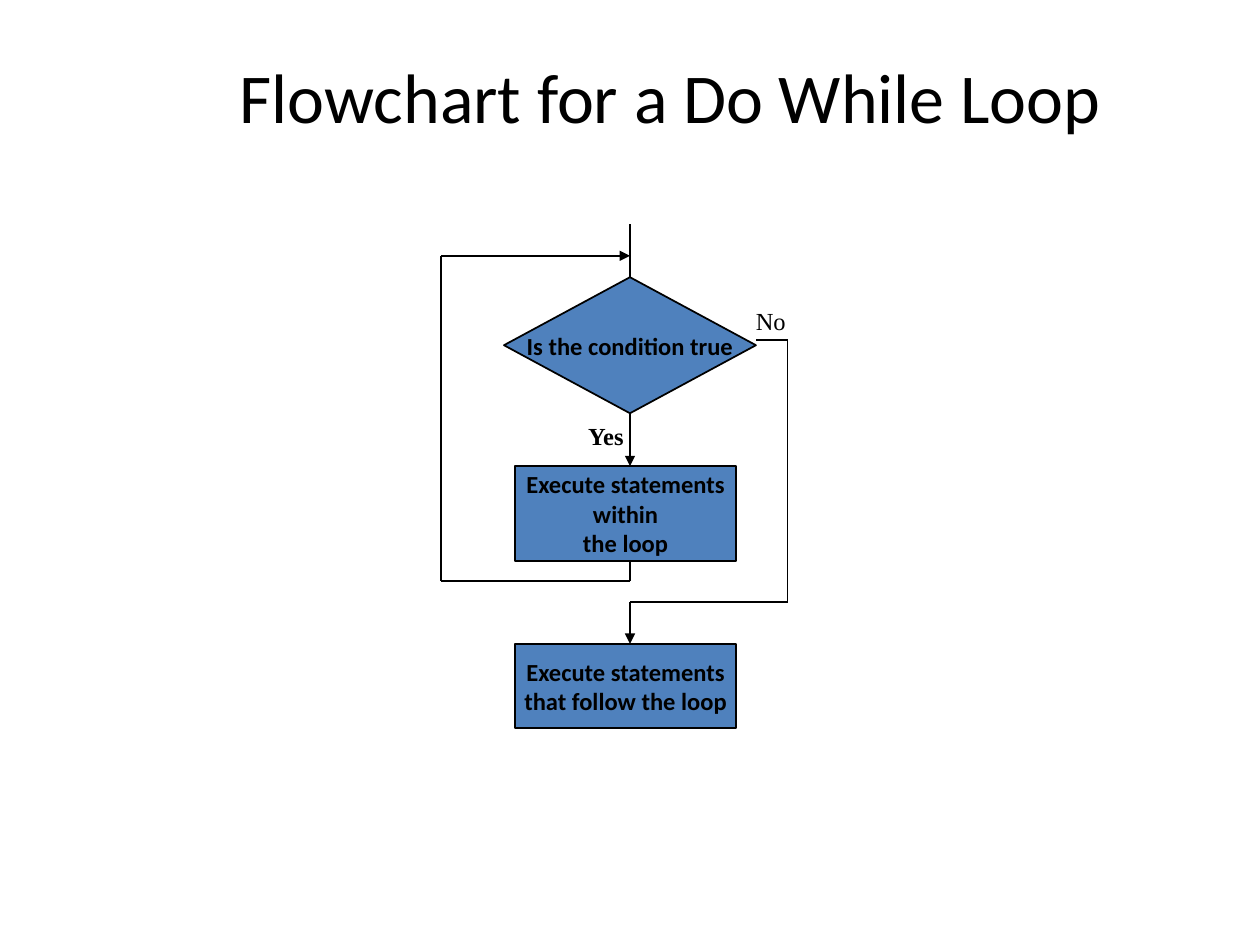
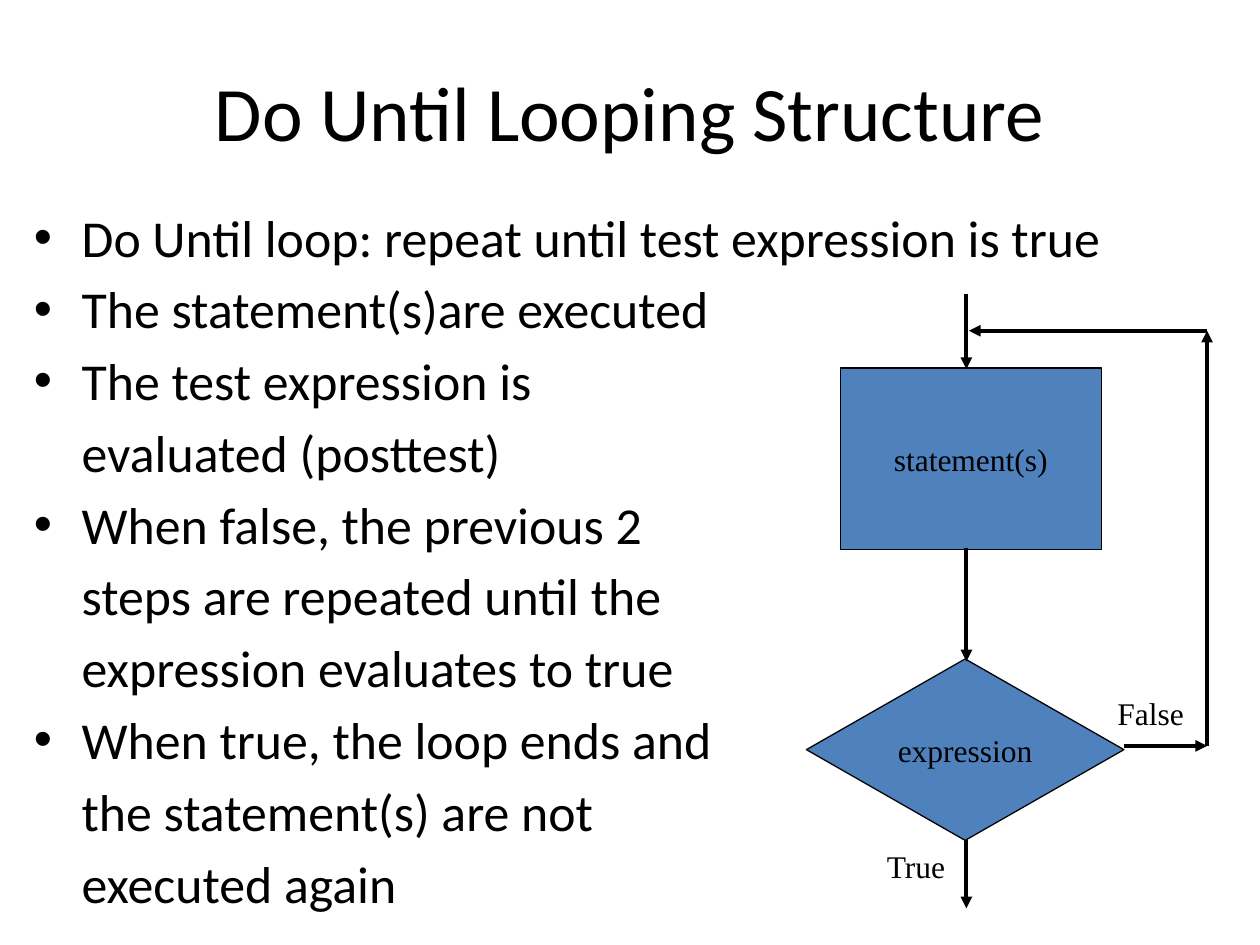
from dataclasses import dataclass
from itertools import pairwise

from lxml.etree import SubElement
from pptx import Presentation
from pptx.dml.color import RGBColor
from pptx.enum.shapes import MSO_CONNECTOR, MSO_SHAPE
from pptx.enum.text import MSO_ANCHOR, MSO_AUTO_SIZE, PP_ALIGN
from pptx.oxml.ns import qn
from pptx.slide import Slide
from pptx.text.text import TextFrame
from pptx.util import Inches, Length, Pt

COLORS = {"ink": "000000", "node": "4F81BD"}
SANS, SERIF = "Calibri", "Times New Roman"
WIDE, HIGH = Inches(10), Inches(7.5)
COLS, ROWS = 100, 75
HANG = Inches(0.38)

Point = tuple[float, float]
Area = tuple[float, float, float, float]

TITLE = {"name": SANS, "size": Pt(44)}
BODY = {"name": SANS, "size": Pt(29.6)}
BOLD = {"name": SANS, "size": Pt(14), "bold": True}
SMALL = {"name": SERIF, "size": Pt(14)}
PLAIN = {"name": SERIF, "size": Pt(18)}
CENTER = {"alignment": PP_ALIGN.CENTER}
MIDDLE = {"vertical_anchor": MSO_ANCHOR.MIDDLE}


@dataclass
class Node:
    kind: MSO_SHAPE
    area: Area
    text: str


@dataclass
class Label:
    area: Area
    text: str
    font: dict


@dataclass
class Route:
    """Joined straight lines; heads is "none", "last" or "all"."""
    stops: list[Point]
    heads: str = "last"


@dataclass
class Chart:
    nodes: list[Node]
    routes: list[Route]
    labels: list[Label]
    font: dict
    edge: float
    flow: float


TEST, STEP = MSO_SHAPE.FLOWCHART_DECISION, MSO_SHAPE.FLOWCHART_PROCESS

WHILE = Chart(
    nodes=[
        Node(TEST, (40, 22, 20, 10.8), "Is the condition true"),
        Node(STEP, (40.9, 37, 17.5, 7.5), "Execute statements\nwithin\nthe loop"),
        Node(STEP, (40.9, 51.1, 17.5, 6.7), "Execute statements\nthat follow the loop"),
    ],
    routes=[
        Route([(50, 17.8), (50, 22)], "none"),
        Route([(50, 32.8), (50, 37)]),
        Route([(50, 44.5), (50, 46.1), (35, 46.1), (35, 20.3), (50, 20.3)]),
        Route([(60, 27), (62.5, 27), (62.5, 47.8), (50, 47.8), (50, 51.1)]),
    ],
    labels=[
        Label((45.7, 32.9, 5.1, 3.3), "Yes", SMALL | {"bold": True}),
        Label((59, 23.8, 4.4, 3.3), "No", SMALL),
    ],
    font=BOLD, edge=1, flow=1)

UNTIL = Chart(
    nodes=[
        Node(TEST, (64, 52.3, 25.2, 14.4), "expression"),
        Node(STEP, (66.7, 29.2, 20.7, 14.4), "statement(s)"),
    ],
    routes=[
        Route([(76.7, 23.3), (76.7, 29.3)]),
        Route([(76.7, 43.5), (76.7, 52.5)]),
        Route([(76.7, 66.7), (76.7, 72.1)]),
        Route([(89.2, 59.2), (95.8, 59.2), (95.8, 26.25), (76.9, 26.25)], "all"),
    ],
    labels=[
        Label((87.7, 54.6, 9.8, 5.4), "False", PLAIN),
        Label((69.4, 66.7, 9, 5.4), "True", PLAIN),
    ],
    font=PLAIN, edge=0.75, flow=2.25)

POINTS = [
    ["Do Until loop: repeat until test expression is true"],
    ["The statement(s)are executed"],
    ["The test expression is", "evaluated (posttest)"],
    ["When false, the previous 2", "steps are repeated until the",
     "expression evaluates to true"],
    ["When true, the loop ends and", "the statement(s) are not", "executed again"],
]


def tint(name: str) -> RGBColor:
    return RGBColor.from_string(COLORS[name])


def style(item: object, looks: dict) -> None:
    for key, value in looks.items():
        setattr(item, key, value)


def spot(col: float, row: float) -> tuple[Length, Length]:
    """Turn grid columns and rows into lengths."""
    return Length(round(WIDE * col / COLS)), Length(round(HIGH * row / ROWS))


def place(area: Area) -> tuple[Length, ...]:
    return spot(*area[:2]) + spot(*area[2:])


def write(frame: TextFrame, text: str, font: dict, para: dict) -> None:
    frame.text = text
    for line in frame.paragraphs:
        style(line, para)
        style(line.font, font)
        line.font.color.rgb = tint("ink")


def add_text(slide: Slide, area: Area, text: str, font: dict,
             para: dict, frame: dict) -> TextFrame:
    box = slide.shapes.add_textbox(*place(area)).text_frame
    write(box, text, font, para)
    style(box, {"word_wrap": True} | frame)
    return box


def add_title(slide: Slide, text: str, area: Area, size: float) -> None:
    add_text(slide, area, text, TITLE | {"size": Pt(size)}, CENTER, MIDDLE)


def add_points(slide: Slide, area: Area) -> None:
    """Write each point as a bulleted line with hanging lines below it."""
    frame = add_text(slide, area, "\n".join(sum(POINTS, [])), {}, {}, {})
    firsts = [n == 0 for point in POINTS for n in range(len(point))]
    for num, (line, first) in enumerate(zip(frame.paragraphs, firsts)):
        props = line._p.get_or_add_pPr()
        props.set("marL", str(HANG))
        props.set("indent", str(-HANG if first else 0))
        for old in list(props):
            props.remove(old)
        if first:
            SubElement(props, qn("a:buFont")).set("typeface", "Arial")
            SubElement(props, qn("a:buChar")).set("char", "•")
        if num:
            line.space_before = Pt(5.5)
        run = line.runs[0].font
        style(run, BODY)
        run.color.rgb = tint("ink")


def add_node(slide: Slide, node: Node, font: dict, edge: float) -> None:
    shape = slide.shapes.add_shape(node.kind, *place(node.area))
    shape.shadow.inherit = False
    shape.fill.solid()
    shape.fill.fore_color.rgb = tint("node")
    shape.line.color.rgb = tint("ink")
    shape.line.width = Pt(edge)
    write(shape.text_frame, node.text, font, CENTER)
    style(shape.text_frame, MIDDLE | {"word_wrap": False})


def add_line(slide: Slide, start: Point, end: Point, width: float, head: bool) -> None:
    line = slide.shapes.add_connector(MSO_CONNECTOR.STRAIGHT, *spot(*start), *spot(*end))
    line.line.color.rgb = tint("ink")
    line.line.width = Pt(width)
    props = line.element.spPr
    if head:
        SubElement(props.find(qn("a:ln")), qn("a:tailEnd")).set("type", "triangle")
    SubElement(props, qn("a:effectLst"))


def add_route(slide: Slide, route: Route, width: float) -> None:
    legs = list(pairwise(route.stops))
    for num, (start, end) in enumerate(legs, 1):
        head = route.heads == "all" or (route.heads == "last" and num == len(legs))
        add_line(slide, start, end, width, head)


def add_flow(slide: Slide, chart: Chart) -> None:
    for node in chart.nodes:
        add_node(slide, node, chart.font, chart.edge)
    for route in chart.routes:
        add_route(slide, route, chart.flow)
    for label in chart.labels:
        add_text(slide, label.area, label.text, label.font, {},
                 {"word_wrap": False, "auto_size": MSO_AUTO_SIZE.SHAPE_TO_FIT_TEXT})


def main() -> None:
    deck = Presentation()
    style(deck, {"slide_width": WIDE, "slide_height": HIGH})
    first, second = (deck.slides.add_slide(deck.slide_layouts[6]) for _ in range(2))

    add_title(first, "Flowchart for a Do While Loop", (8.2, 1.3, 90, 12.5), 40)
    add_flow(first, WHILE)

    add_title(second, "Do Until Looping Structure", (5, 2.5, 90, 12.5), 44)
    add_points(second, (1.7, 15.8, 98.3, 58.3))
    add_flow(second, UNTIL)

    deck.save("out.pptx")


if __name__ == "__main__":
    main()
